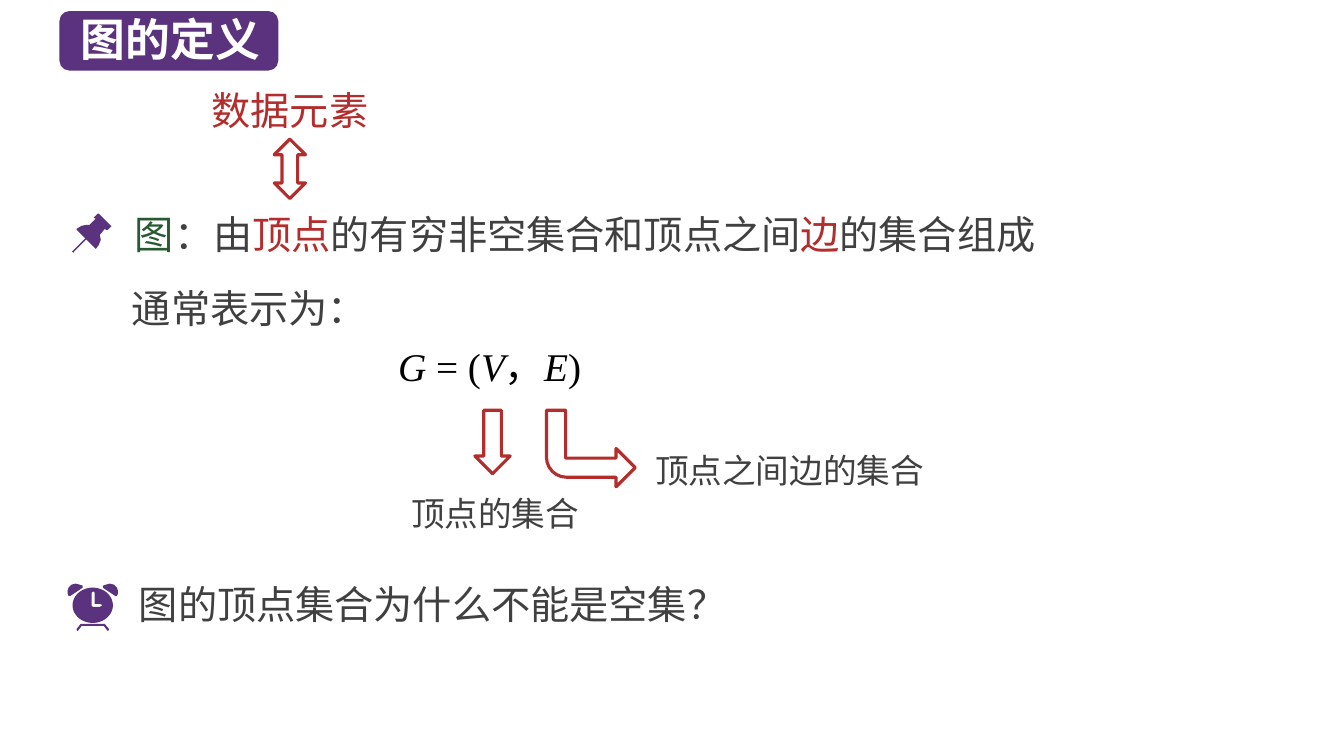
import math

import pptx
import pptx.dml.color
import pptx.enum.shapes
import pptx.enum.text
import pptx.oxml
import pptx.oxml.ns
import pptx.util

PX = 9144
CJK = "Noto Sans CJK SC"
SERIF = "Times New Roman"
COLORS = {
    "purple": "5A327D",
    "red": "B42D2D",
    "green": "285A32",
    "grey": "404040",
    "black": "000000",
    "white": "FFFFFF",
}
SHAPE = pptx.enum.shapes.MSO_SHAPE


def rgb(color):
    return pptx.dml.color.RGBColor.from_string(COLORS[color])


class Sheet:
    def __init__(self, slide):
        self.slide = slide

    def box(self, *lengths):
        return [pptx.util.Emu(length * PX) for length in lengths]

    def paint(self, shape, color):
        shape.shadow.inherit = False
        shape.fill.solid()
        shape.fill.fore_color.rgb = rgb(color)
        shape.line.fill.background()

    def badge(self, *place):
        badge = self.slide.shapes.add_shape(SHAPE.ROUNDED_RECTANGLE, *self.box(*place))
        self.paint(badge, "purple")

    def arrow(self, kind, place, rotation=0, flipped=False, adjustments=()):
        arrow = self.slide.shapes.add_shape(kind, *self.box(*place))
        arrow.shadow.inherit = False
        arrow.fill.background()
        arrow.line.color.rgb = rgb("red")
        arrow.line.width = pptx.util.Pt(2.25)
        arrow.rotation = rotation
        for index, value in enumerate(adjustments):
            arrow.adjustments[index] = value
        if flipped:
            arrow._element.spPr.find(pptx.oxml.ns.qn("a:xfrm")).set("flipV", "1")

    def add_runs(self, paragraph, runs, size, font=SERIF, bold=False):
        for words, color, *italic in runs:
            run = paragraph.add_run()
            run.text = words
            run.font.size = pptx.util.Pt(size)
            run.font.bold = bold
            run.font.italic = bool(italic)
            run.font.color.rgb = rgb(color)
            run.font.name = font
            east_asian = pptx.oxml.parse_xml(
                f'<a:ea {pptx.oxml.ns.nsdecls("a")} typeface="{CJK}"/>'
            )
            run.font._element.append(east_asian)

    def fit(self, frame):
        frame.word_wrap = True
        frame.auto_size = pptx.enum.text.MSO_AUTO_SIZE.SHAPE_TO_FIT_TEXT
        frame.vertical_anchor = pptx.enum.text.MSO_ANCHOR.TOP

    def title(self, words, *place):
        title = self.slide.shapes.title
        title.left, title.top, title.width, title.height = self.box(*place)
        self.slide.shapes._spTree.append(title._element)
        self.fit(title.text_frame)
        heading = title.text_frame.paragraphs[0]
        heading.alignment = pptx.enum.text.PP_ALIGN.LEFT
        self.add_runs(heading, [(words, "white")], 32, CJK, True)

    def text(self, place, runs, size=28, spacing=1.2, font=SERIF):
        frame = self.slide.shapes.add_textbox(*self.box(*place)).text_frame
        self.fit(frame)
        frame.paragraphs[0].line_spacing = spacing
        self.add_runs(frame.paragraphs[0], runs, size, font)
        return frame

    def formula(self, frame, runs, indent, gap):
        formula = frame.add_paragraph()
        formula.space_before = pptx.util.Pt(gap)
        properties = formula._p.get_or_add_pPr()
        properties.set("marL", str(indent * PX))
        properties.set("indent", "0")
        self.add_runs(formula, runs, 28)

    def icon(self, *outlines):
        group = self.slide.shapes.add_group_shape()
        for contours in outlines:
            builder = None
            for contour in contours:
                points = [(x * PX, y * PX) for x, y in contour]
                if builder is None:
                    builder = group.shapes.build_freeform(*points[0], scale=1.0)
                else:
                    builder.move_to(*points[0])
                builder.add_line_segments(points[1:], close=True)
            self.paint(builder.convert_to_shape(), "purple")


def main():
    deck = pptx.Presentation()
    deck.slide_width = pptx.util.Emu(1333 * PX)
    deck.slide_height = pptx.util.Emu(750 * PX)
    sheet = Sheet(deck.slides.add_slide(deck.slide_layouts[5]))

    sheet.badge(59, 11, 217, 59)
    sheet.title("图的定义", 70, 7, 202, 64)

    sheet.text((124, 194, 1125, 67), [
        ("图", "green"), ("：由", "grey"), ("顶点", "red"),
        ("的有穷非空集合和顶点之间", "grey"), ("边", "red"), ("的集合组成", "grey"),
    ])
    pin_head = [
        (110, 224), (98, 212), (97, 212), (94, 215), (93, 216), (95, 217),
        (89, 223), (86, 223), (81, 224), (76, 227), (76, 228), (94, 246),
        (95, 247), (98, 243), (100, 238), (99, 233), (104, 227), (105, 228),
        (107, 228), (110, 225), (111, 224),
    ]
    pin_needle = [
        (73, 251), (72, 250), (71, 250), (72, 249), (85, 236),
        (86, 236), (86, 237), (73, 250),
    ]
    sheet.icon([pin_head], [pin_needle])

    sheet.arrow(SHAPE.UP_DOWN_ARROW, (272, 138, 31, 59))
    sheet.text((200, 71, 181, 67), [("数据元素", "red")])

    notation = sheet.text((121, 277, 890, 128), [("通常表示为：", "grey")], spacing=1.0)
    sheet.formula(notation, [
        ("G ", "black", "italic"), ("= (", "black"), ("V", "black", "italic"),
        ("，", "black"), ("E", "black", "italic"), (")", "black"),
    ], indent=264, gap=8)

    sheet.arrow(SHAPE.RIGHT_ARROW, (457, 421, 63, 35), rotation=90)
    sheet.text((398, 476, 204, 59), [("顶点的集合", "grey")], 24)
    sheet.arrow(SHAPE.BENT_ARROW, (542, 407, 88, 76), flipped=True,
                adjustments=(0.25, 0.25, 0.25, 0.26))
    sheet.text((640, 433, 320, 59), [("顶点之间边的集合", "grey")], 24)

    sheet.text((128, 571, 726, 57), [("图的顶点集合为什么不能是空集？", "grey")],
               spacing=1.0, font=CJK)
    axis = 92
    half_stand = [(92, 619), (81, 619), (80, 619), (76, 624), (76, 625),
                  (77, 626), (78, 625), (81, 621), (92, 621)]
    left_bell = [(75, 579), (71, 580), (68, 583), (67, 586), (67, 589), (68, 591),
                 (70, 591), (82, 583), (82, 581), (79, 580)]
    stand, right_bell = (
        [(2 * axis - x, y) for x, y in reversed(half)] for half in (half_stand, left_bell)
    )
    stand = half_stand + stand
    face = [
        (axis + 20 * math.cos(math.radians(angle)), 600.5 + 17.5 * math.sin(math.radians(angle)))
        for angle in range(0, 360, 6)
    ]
    hands = [(99, 602), (101, 601), (101, 600), (99, 599), (94, 599), (94, 588),
             (93, 587), (92, 587), (91, 588), (91, 600), (91, 601), (92, 602)]
    sheet.icon([stand], [left_bell], [right_bell], [face, hands])

    deck.save("out.pptx")


if __name__ == "__main__":
    main()
